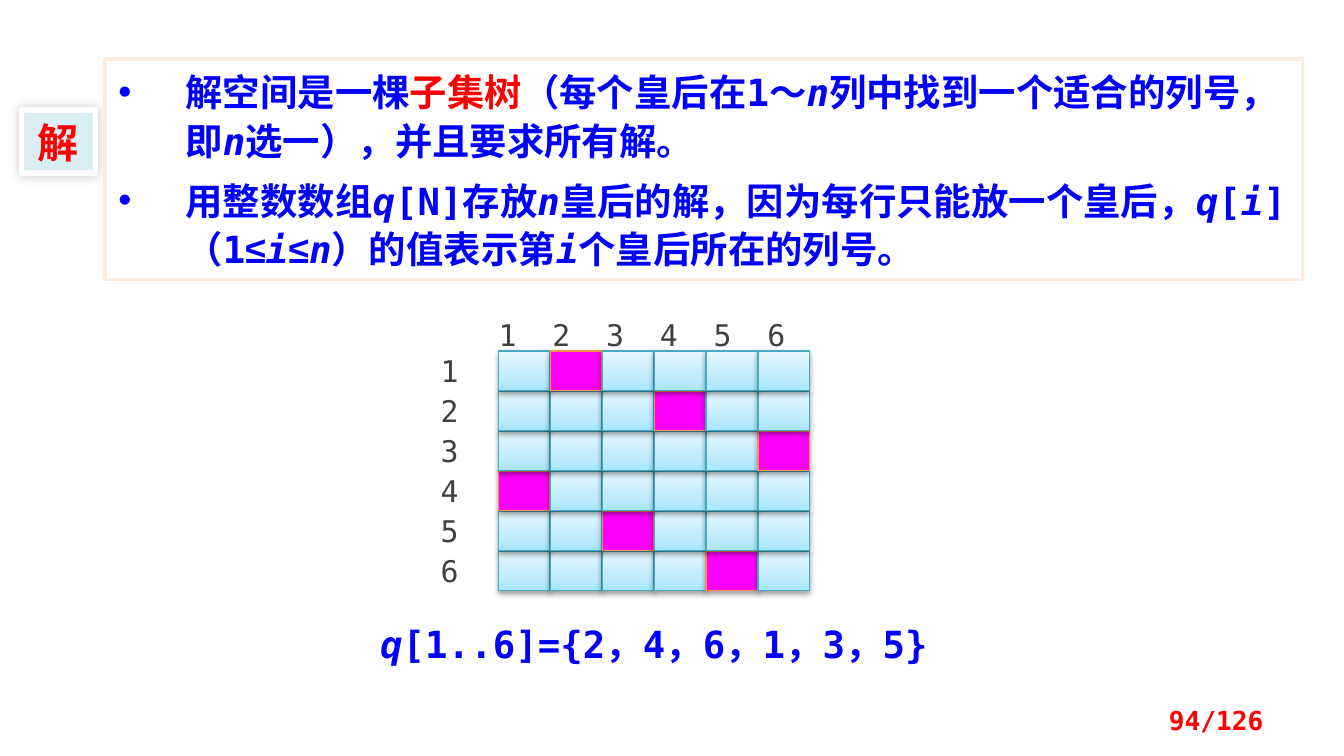
"""Build the slide on the solution space of the n queens problem."""
from copy import deepcopy

from lxml.etree import SubElement as Sub
from pptx import Presentation
from pptx.dml.color import RGBColor
from pptx.enum.shapes import MSO_SHAPE as Shape
from pptx.enum.text import MSO_ANCHOR as Anchor, PP_ALIGN as Align
from pptx.oxml.ns import qn
from pptx.util import Pt

MONO, HAN = "DejaVu Sans Mono", "Noto Sans CJK SC"
BLUE, RED, GREY, WHITE = "0000FF", "FF0000", "404040", "FFFFFF"
SKY = (0, "A7E6FF"), (0.35, "C1EDFF"), (1, "E7F8FF")
NOTES = (
    "解空间是一棵|^子集树|（每个皇后在1～|_n|列中找到一个适合的列号，即|_n|选一），并且要求所有解。",
    "用整数数组|_q|[N]存放|_n|皇后的解，因为每行只能放一个皇后，|_q|[|_i|]（1|≤|_i|≤|_n|）的值表示第|_i|个皇后所在的列号。",
)
QUEENS = 2, 4, 6, 1, 3, 5


def hue(code):
    return RGBColor.from_string(code)


class Deck:
    """Hold the style and the current slide."""

    def __init__(self):
        self.prs = Presentation()
        self.prs.slide_width, self.prs.slide_height = Pt(720), Pt(405)
        self.slide = self.prs.slides.add_slide(self.prs.slide_layouts[6])
        self.shapes = self.slide.shapes

    def group(self):
        self.shapes = self.slide.shapes.add_group_shape().shapes

    def ungroup(self):
        self.shapes = self.slide.shapes

    def box(self, x, y, w, h, fill=WHITE, line=None, width=0.75):
        box = self.shapes.add_shape(Shape.RECTANGLE, Pt(x), Pt(y), Pt(w), Pt(h))
        box.shadow.inherit = False
        if isinstance(fill, str):
            box.fill.solid()
            box.fill.fore_color.rgb = hue(fill)
        else:
            self.blend(box, fill)
        if line:
            box.line.color.rgb = hue(line)
            box.line.width = Pt(width)
        else:
            box.line.fill.background()
        return box

    def blend(self, box, stops):
        box.fill.gradient()
        box.fill.gradient_angle = 90
        row = box._element.spPr.find(".//" + qn("a:gsLst"))
        row.insert(1, deepcopy(row[0]))
        for stop, (pos, code) in zip(box.fill.gradient_stops, stops):
            stop.position = pos
            stop.color.rgb = hue(code)

    def shade(self, box, alpha, blur, dist, angle):
        holder = box._element.spPr.find(qn("a:effectLst"))
        shade = Sub(holder, qn("a:outerShdw"), blurRad=str(Pt(blur)),
                    dist=str(Pt(dist)), dir=str(angle * 60000),
                    algn="ctr", rotWithShape="0")
        tint = Sub(shade, qn("a:srgbClr"), val="000000")
        Sub(tint, qn("a:alpha"), val=str(alpha * 1000))

    def area(self, x, y, w, h):
        return self.shapes.add_textbox(Pt(x), Pt(y), Pt(w), Pt(h))

    def frame(self, box, anchor=Anchor.TOP, inset=None):
        frame = box.text_frame
        frame.word_wrap = True
        frame.vertical_anchor = anchor
        if inset is not None:
            frame.margin_left = frame.margin_right = Pt(inset)
            frame.margin_top = frame.margin_bottom = Pt(inset)
        return frame

    def text(self, par, text, size, color, bold=True, face=MONO, align=Align.LEFT):
        par.alignment = align
        font = par.font
        font.size, font.bold, font.name = Pt(size), bold, face
        font.color.rgb = hue(color)
        for part in text.split("|"):
            run = par.add_run()
            run.text = part.lstrip("_^")
            if part[0] == "_":
                run.font.italic = True
            elif part[0] == "^":
                run.font.color.rgb = hue(RED)
            elif part == "≤":
                run.font.name = "Arial"

    def bullet(self, par):
        props = par._p.get_or_add_pPr()
        props.set("marL", str(Pt(36)))
        props.set("indent", str(Pt(-36)))
        Sub(props, qn("a:buFont"), typeface="Arial")
        Sub(props, qn("a:buChar"), char="•")
        par.line_spacing = Pt(26)

    def label(self, x, y, text):
        frame = self.frame(self.box(x, y, 27.6, 21.2), Anchor.MIDDLE, 0)
        self.text(frame.paragraphs[0], text, 16, GREY, False)

    def cell(self, x, y, queen):
        fill, line = ("FF00FF", "F69240") if queen else (SKY, "46AAC5")
        self.shade(self.box(x, y, 27.6, 21.2, fill, line), 38, 3.1, 1.6, 90)

    def board(self, x, y, queens):
        self.group()
        count = len(queens)
        for k in range(count):
            self.label(x + 28.8 * k, y - 19.6, str(k + 1))
        for row in reversed(range(count)):
            top = y + 21.45 * row
            for col in range(count):
                self.cell(x + 27.8 * col, top, col + 1 == queens[row])
            self.label(x - 31, top, str(row + 1))
        self.ungroup()


def main():
    deck = Deck()
    tag = deck.box(11.5, 59, 39.6, 33.9, "DBEEF4", WHITE, 3)
    deck.shade(tag, 20, 6, 0, 225)
    deck.text(deck.frame(tag, Anchor.MIDDLE).paragraphs[0], "解", 22, RED,
              face=HAN, align=Align.CENTER)

    frame = deck.frame(deck.box(56.3, 31.7, 641.5, 118.1, WHITE, "FDEADA", 2))
    for k, text in enumerate(NOTES):
        par = frame.add_paragraph() if k else frame.paragraphs[0]
        deck.bullet(par)
        if k:
            par.space_before = Pt(6)
        deck.text(par, text, 20, BLUE)

    answer = deck.frame(deck.area(196.6, 329, 309.6, 31.7))
    deck.text(answer.paragraphs[0], "_q|[1..6]={2，4，6，1，3，5}", 20, BLUE)
    deck.board(267.1, 188, QUEENS)
    page = deck.frame(deck.area(516.2, 375.1, 167.8, 21.6), Anchor.MIDDLE)
    deck.text(page.paragraphs[0], "94/126", 14, RED, align=Align.RIGHT)
    deck.prs.save("out.pptx")


if __name__ == "__main__":
    main()
